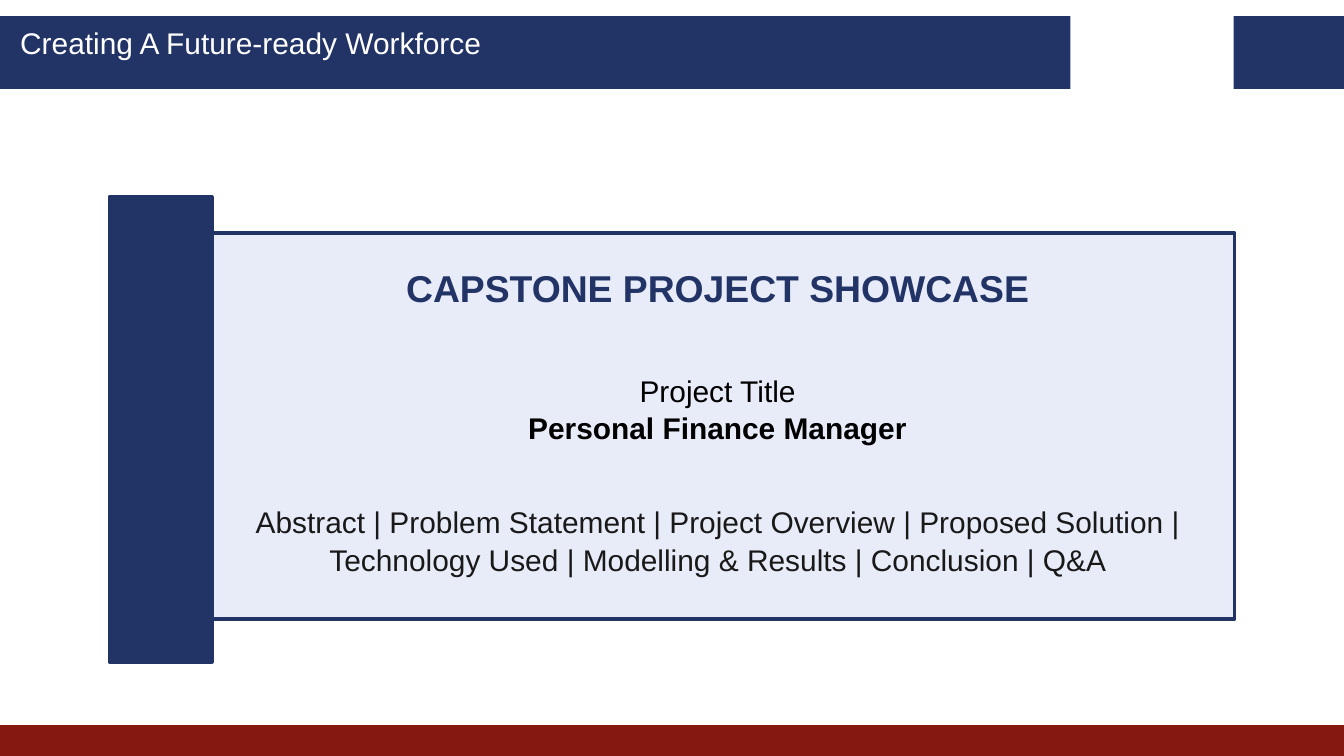
from pptx import Presentation
from pptx.dml.color import RGBColor
from pptx.enum.shapes import MSO_SHAPE
from pptx.enum.text import MSO_ANCHOR, MSO_AUTO_SIZE, PP_ALIGN
from pptx.util import Inches, Pt

RECTANGLE = MSO_SHAPE.RECTANGLE
LEFT, CENTER = PP_ALIGN.LEFT, PP_ALIGN.CENTER
WIDTH, HEIGHT = 20, 11.25
FONT = "Arial"
OUTLINE = 4.1
TITLE_LAYOUT = 5

COLORS = {
    "navy": "223366",
    "red": "851910",
    "white": "FFFFFF",
    "panel": "E8ECF8",
    "black": "000000",
    "charcoal": "191919",
}

# Content: text, bold
TITLE = [("CAPSTONE PROJECT SHOWCASE", True)]
BANNER = [("Creating A Future-ready Workforce", False)]
PROJECT = [("Project Title", False), ("Personal Finance Manager", True)]
SECTIONS = [
    "Abstract", "Problem Statement", "Project Overview", "Proposed Solution",
    "Technology Used", "Modelling & Results", "Conclusion", "Q&A",
]
AGENDA = [(" | ".join(SECTIONS), False)]

# Blocks from back to front: left, top, width, height, fill, outline
BLOCKS = [
    (0, 0.27, WIDTH, 1.02, "navy", "navy"),        # top banner
    (0, HEIGHT - 0.46, WIDTH, 0.46, "red", None),  # footer
    (15.93, 0.14, 2.43, 1.28, "white", None),      # gap in the banner
    (2.62, 3.47, 15.75, 5.74, "panel", "navy"),    # main panel
    (1.63, 2.93, 1.52, 6.92, "navy", "navy"),      # side bar
]

# Text boxes: lines, box, size, line spacing, color, alignment
TEXTS = [
    (BANNER, (0.3, 0.36, 7.55, 0.8), 32, 38.4, "white", LEFT),
    (AGENDA, (3.77, 7.48, 13.84, 1.18), 32, 39.9, "charcoal", CENTER),
    (PROJECT, (4.86, 5.52, 11.64, 1.15), 32, 39.9, "black", CENTER),
]
TITLE_STYLE = ((5.86, 3.95, 9.64, 0.74), 40, 48, "navy", CENTER)


def color(name):
    return RGBColor.from_string(COLORS[name])


def add_block(slide, left, top, width, height, fill, outline):
    shape = slide.shapes.add_shape(
        RECTANGLE, Inches(left), Inches(top), Inches(width), Inches(height))
    shape.shadow.inherit = False
    shape.fill.solid()
    shape.fill.fore_color.rgb = color(fill)
    if outline:
        shape.line.color.rgb = color(outline)
        shape.line.width = Pt(OUTLINE)
    else:
        shape.line.fill.background()


def write_text(shape, lines, box, size, spacing, color_name, alignment):
    shape.left, shape.top, shape.width, shape.height = map(Inches, box)
    frame = shape.text_frame
    frame.word_wrap = True
    frame.auto_size = MSO_AUTO_SIZE.NONE
    frame.vertical_anchor = MSO_ANCHOR.TOP
    frame.margin_left = frame.margin_right = 0
    frame.margin_top = frame.margin_bottom = 0
    frame.text = "\n".join(text for text, bold in lines)
    for paragraph, (text, bold) in zip(frame.paragraphs, lines):
        paragraph.alignment = alignment
        paragraph.line_spacing = Pt(spacing)
        paragraph.space_before = Pt(0)
        font = paragraph.runs[0].font
        font.name, font.size, font.bold = FONT, Pt(size), bold
        font.color.rgb = color(color_name)


def main():
    presentation = Presentation()
    presentation.slide_width = Inches(WIDTH)
    presentation.slide_height = Inches(HEIGHT)
    slide = presentation.slides.add_slide(
        presentation.slide_layouts[TITLE_LAYOUT])

    for block in BLOCKS:
        add_block(slide, *block)

    # Title, brought in front of the panel
    title = slide.shapes.title
    title.element.getparent().append(title.element)
    write_text(title, TITLE, *TITLE_STYLE)

    for lines, box, *style in TEXTS:
        text_box = slide.shapes.add_textbox(*map(Inches, box))
        write_text(text_box, lines, box, *style)

    presentation.save("out.pptx")


if __name__ == "__main__":
    main()
